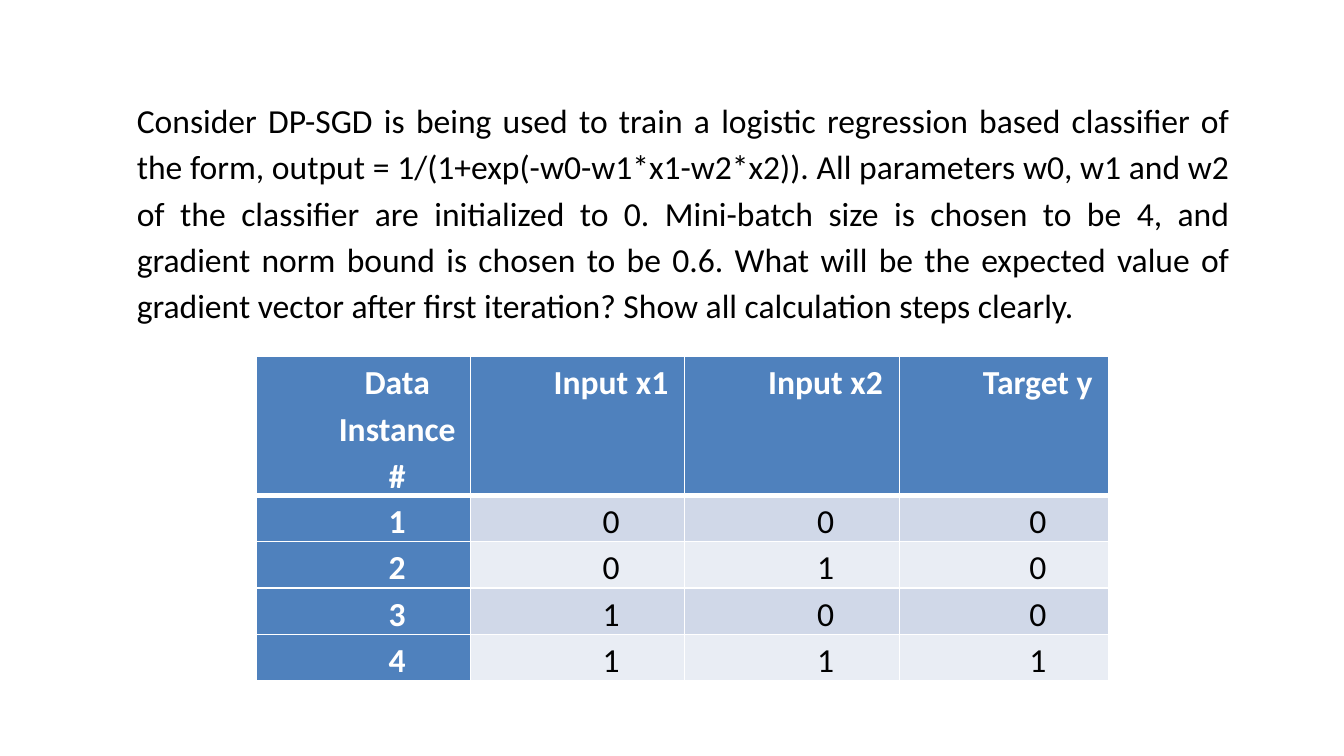
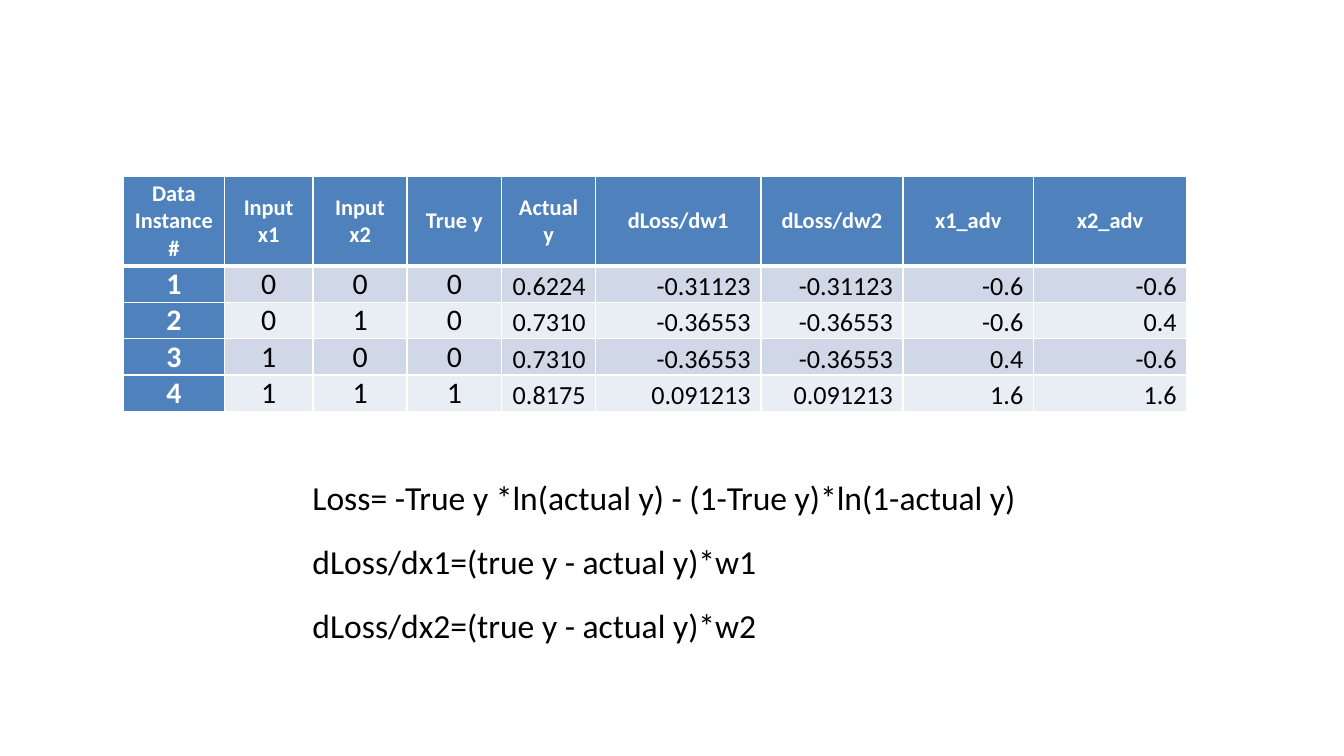
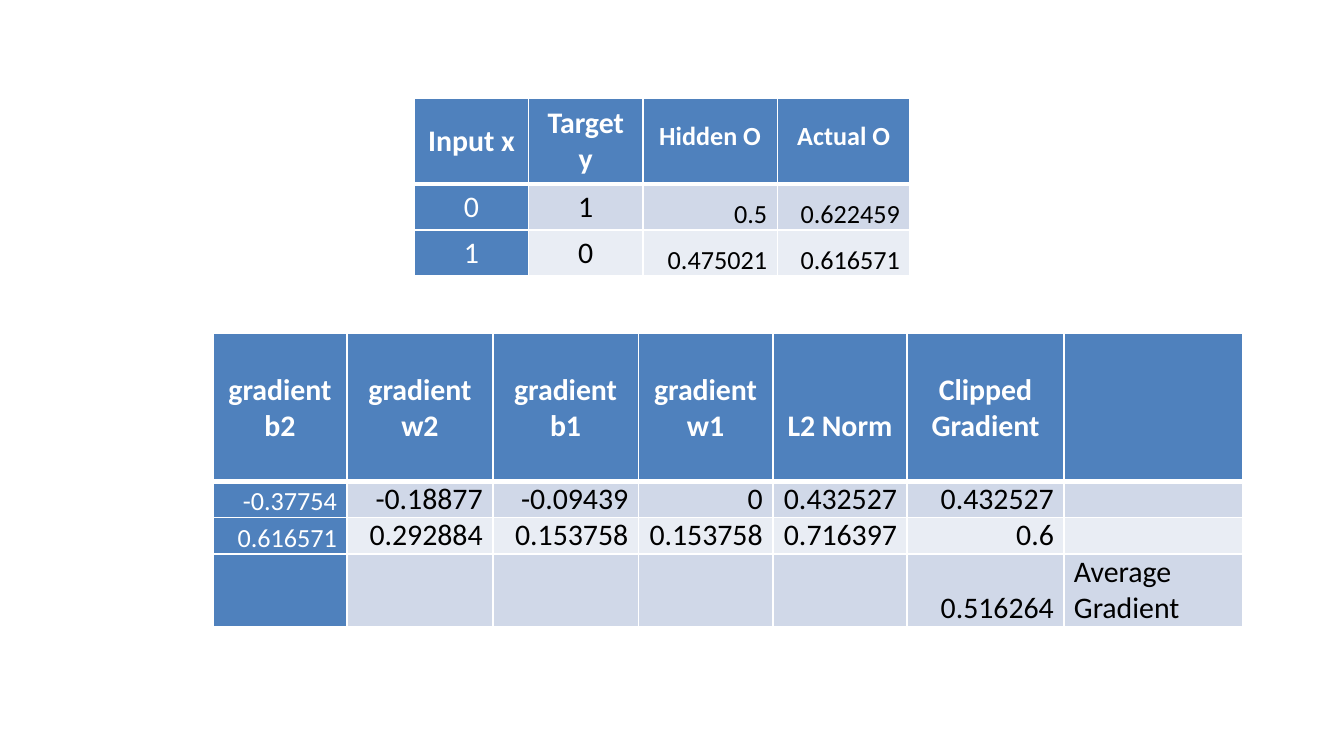
from dataclasses import dataclass

from lxml import etree
from pptx import Presentation
from pptx import util as u
from pptx.dml.color import RGBColor
from pptx.enum import text
from pptx.oxml.ns import qn

Pt = u.Pt
Align, Anchor = text.PP_ALIGN, text.MSO_ANCHOR

FONT = "Calibri"
COLORS = {
    "paper": "FFFFFF",
    "ink": "000000",
    "head": "4F81BD",
    "odd_band": "D0D8E8",
    "even_band": "E9EDF4",
}


@dataclass(frozen=True)
class CellStyle:
    size: float
    align: Align = Align.CENTER
    anchor: Anchor = Anchor.MIDDLE
    bold: bool = False
    indent: float = 0
    spacing: float = 1.0
    lift: float = 0  # space kept free below the text


def color(name):
    return RGBColor.from_string(COLORS[name])


def format_paragraph(para, size, align, ink="ink", bold=False, spacing=1.0):
    para.alignment = align
    para.line_spacing = spacing
    para.font.name = FONT
    para.font.size = Pt(size)
    para.font.bold = bold
    para.font.color.rgb = color(ink)


def add_borders(cell, bottom):
    """Draw white 1 pt cell borders, with a bottom one of the given weight."""
    properties = cell._tc.get_or_add_tcPr()
    for side in "LRTB":
        weight = bottom if side == "B" else 1
        line = etree.SubElement(properties, qn(f"a:ln{side}"), w=str(Pt(weight)))
        fill = etree.SubElement(line, qn("a:solidFill"))
        etree.SubElement(fill, qn("a:srgbClr"), val=COLORS["paper"])


def fill_cell(cell, content, style, ink, band=None, bottom=1):
    add_borders(cell, bottom)
    if band:
        cell.fill.solid()
        cell.fill.fore_color.rgb = color(band)
    else:
        cell.fill.background()
    cell.margin_left = cell.margin_right = Pt(5.4)
    cell.margin_top, cell.margin_bottom = 0, Pt(style.lift)
    cell.vertical_anchor = style.anchor
    cell.text = content
    para = cell.text_frame.paragraphs[0]
    format_paragraph(para, style.size, style.align, ink, style.bold, style.spacing)
    if style.indent:
        para._p.get_or_add_pPr().set("marL", str(Pt(style.indent)))
    if not content:
        etree.SubElement(para._p, qn("a:endParaRPr"), sz=str(int(style.size * 100)))


def add_grid(page, left, top, widths, heights):
    """Add an unstyled table with the given column widths and row heights."""
    frame = page.shapes.add_table(len(heights), len(widths), Pt(left), Pt(top),
                                  Pt(sum(widths)), Pt(sum(heights)))
    table = frame.table
    table.first_row = table.horz_banding = False
    properties = table._tbl.tblPr
    for style_id in properties.findall(qn("a:tableStyleId")):
        properties.remove(style_id)
    for column, width in zip(table.columns, widths):
        column.width = Pt(width)
    for row, height in zip(table.rows, heights):
        row.height = Pt(height)
    return table


def add_data_table(page, left, top, widths, heights, rows, head_styles, body_styles):
    """Add a table with a blue first row and column and banded values."""
    table = add_grid(page, left, top, widths, heights)
    for r, row in enumerate(rows):
        styles = body_styles if r else head_styles
        for c, (content, style) in enumerate(zip(row, styles)):
            is_head = r == 0 or c == 0
            band = "head" if is_head else "odd_band" if r % 2 else "even_band"
            fill_cell(table.cell(r, c), content, style,
                      "paper" if is_head else "ink", band, 1 if r else 3)


def add_formulas(page, left, top, widths, heights, formulas):
    table = add_grid(page, left, top, widths, heights)
    style = CellStyle(18, Align.LEFT, Anchor.BOTTOM)
    for r, formula in enumerate(formulas):
        for c, content in enumerate((formula, "")):
            fill_cell(table.cell(r, c), content, style, "ink", bottom=1 if r else 3)
    table.cell(0, 0).merge(table.cell(0, 1))


def add_question(page, left, top, width, height, content):
    box = page.shapes.add_textbox(Pt(left), Pt(top), Pt(width), Pt(height))
    box.text_frame.word_wrap = True
    box.text_frame.text = content
    format_paragraph(box.text_frame.paragraphs[0], 18, Align.JUSTIFY, spacing=1.15)


def build_question_page(page):
    add_question(
        page, 66.2, 46.8, 600, 132.5,
        "Consider DP-SGD is being used to train a logistic regression based "
        "classifier of the form, output = 1/(1+exp(-w0-w1*x1-w2*x2)). All "
        "parameters w0, w1 and w2 of the classifier are initialized to 0. "
        "Mini-batch size is chosen to be 4, and gradient norm bound is chosen "
        "to be 0.6. What will be the expected value of gradient vector after "
        "first iteration? Show all calculation steps clearly.")
    strong = CellStyle(18, anchor=Anchor.TOP, bold=True, indent=36, spacing=1.15)
    plain = CellStyle(18, anchor=Anchor.TOP, indent=36, spacing=1.15)
    add_data_table(
        page, 137.5, 190.8, [114.6, 114.6, 115.2, 112.2], [74.4] + [24.8] * 4,
        [["Data Instance #", "Input x1", "Input x2", "Target y"],
         ["1", "0", "0", "0"],
         ["2", "0", "1", "0"],
         ["3", "1", "0", "0"],
         ["4", "1", "1", "1"]],
        [strong] * 4, [strong] + [plain] * 3)


def build_adversarial_page(page):
    number = CellStyle(14, Align.RIGHT, Anchor.BOTTOM)
    add_data_table(
        page, 66.2, 94.5, [54, 47.5, 50.5, 50.5, 50.5, 88.5, 76.2, 69.8, 82.2],
        [48] + [19.5] * 4,
        [["Data Instance #", "Input x1", "Input x2", "True y", "Actual y",
          "dLoss/dw1", "dLoss/dw2", "x1_adv", "x2_adv"],
         ["1", "0", "0", "0", "0.6224", "-0.31123", "-0.31123", "-0.6", "-0.6"],
         ["2", "0", "1", "0", "0.7310", "-0.36553", "-0.36553", "-0.6", "0.4"],
         ["3", "1", "0", "0", "0.7310", "-0.36553", "-0.36553", "0.4", "-0.6"],
         ["4", "1", "1", "1", "0.8175", "0.091213", "0.091213", "1.6", "1.6"]],
        [CellStyle(12, bold=True)] * 9,
        [CellStyle(16, bold=True)] + [CellStyle(16)] * 3 + [number] * 5)
    add_formulas(page, 162, 256.3, [312, 114], [22, 34.5, 34],
                 ["Loss= -True y *ln(actual y) - (1-True y)*ln(1-actual y)",
                  "dLoss/dx1=(true y - actual y)*w1",
                  "dLoss/dx2=(true y - actual y)*w2"])


def build_gradient_page(page):
    output_head = CellStyle(14, anchor=Anchor.BOTTOM, bold=True, lift=17)
    small = CellStyle(14, Align.RIGHT, Anchor.BOTTOM)
    add_data_table(
        page, 222, 52.6, [61.2, 61.2, 72, 71.2], [46, 24.7, 24.7],
        [["Input x", "Target y", "Hidden O", "Actual O"],
         ["0", "1", "0.5", "0.622459"],
         ["1", "0", "0.475021", "0.616571"]],
        [CellStyle(16, bold=True)] * 2 + [output_head] * 2,
        [CellStyle(16)] * 2 + [small] * 2)

    gradient_head = CellStyle(16, anchor=Anchor.BOTTOM, bold=True, lift=19.5)
    number = CellStyle(16, Align.RIGHT, Anchor.BOTTOM)
    note = CellStyle(16, Align.LEFT, Anchor.BOTTOM)
    add_data_table(
        page, 114, 178.6, [72, 78, 78, 72, 72, 84, 96], [79.2, 19.5, 19.5, 39],
        [["gradient b2", "gradient w2", "gradient b1", "gradient w1", "L2 Norm",
          "Clipped Gradient", ""],
         ["-0.37754", "-0.18877", "-0.09439", "0", "0.432527", "0.432527", ""],
         ["0.616571", "0.292884", "0.153758", "0.153758", "0.716397", "0.6", ""],
         ["", "", "", "", "", "0.516264", "Average Gradient"]],
        [gradient_head] * 7, [small] + [number] * 5 + [note])


def main():
    deck = Presentation()
    deck.slide_width, deck.slide_height = Pt(720), Pt(405)
    blank = deck.slide_layouts[6]
    for build in (build_question_page, build_adversarial_page, build_gradient_page):
        build(deck.slides.add_slide(blank))
    deck.save("out.pptx")


if __name__ == "__main__":
    main()
